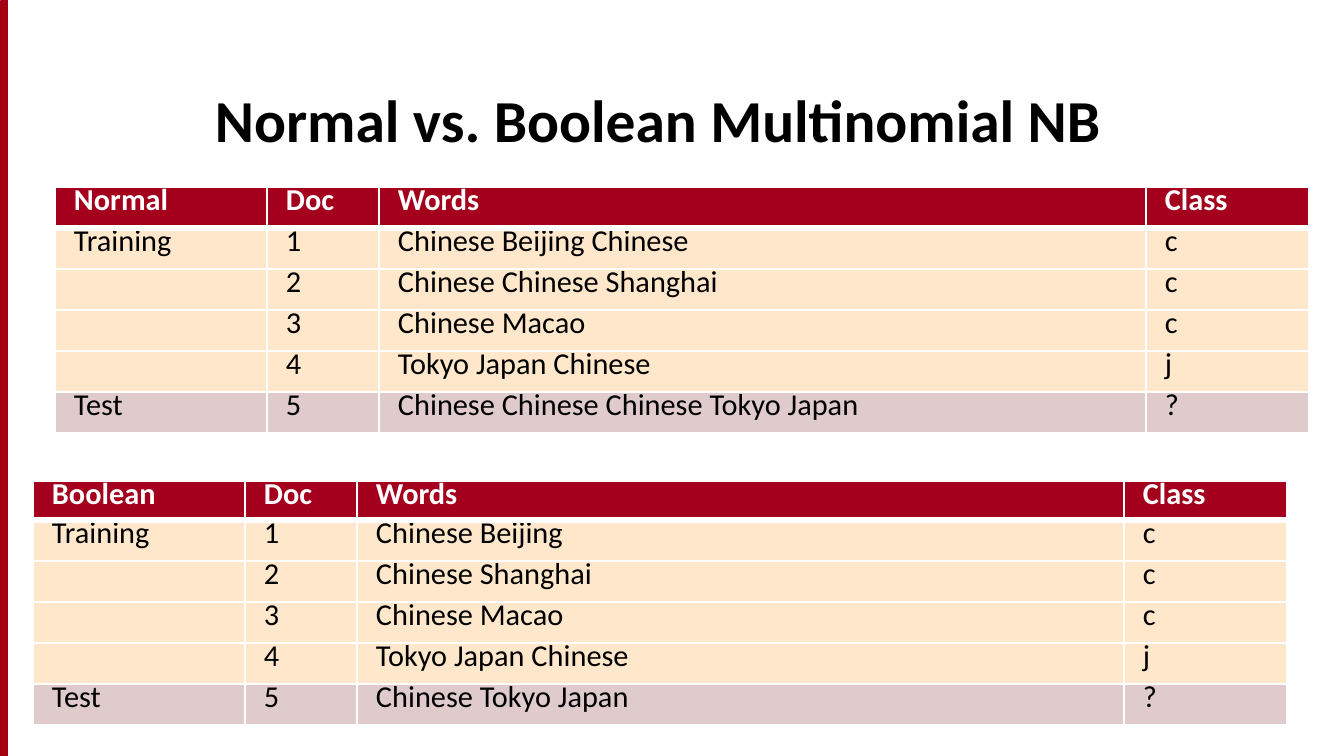
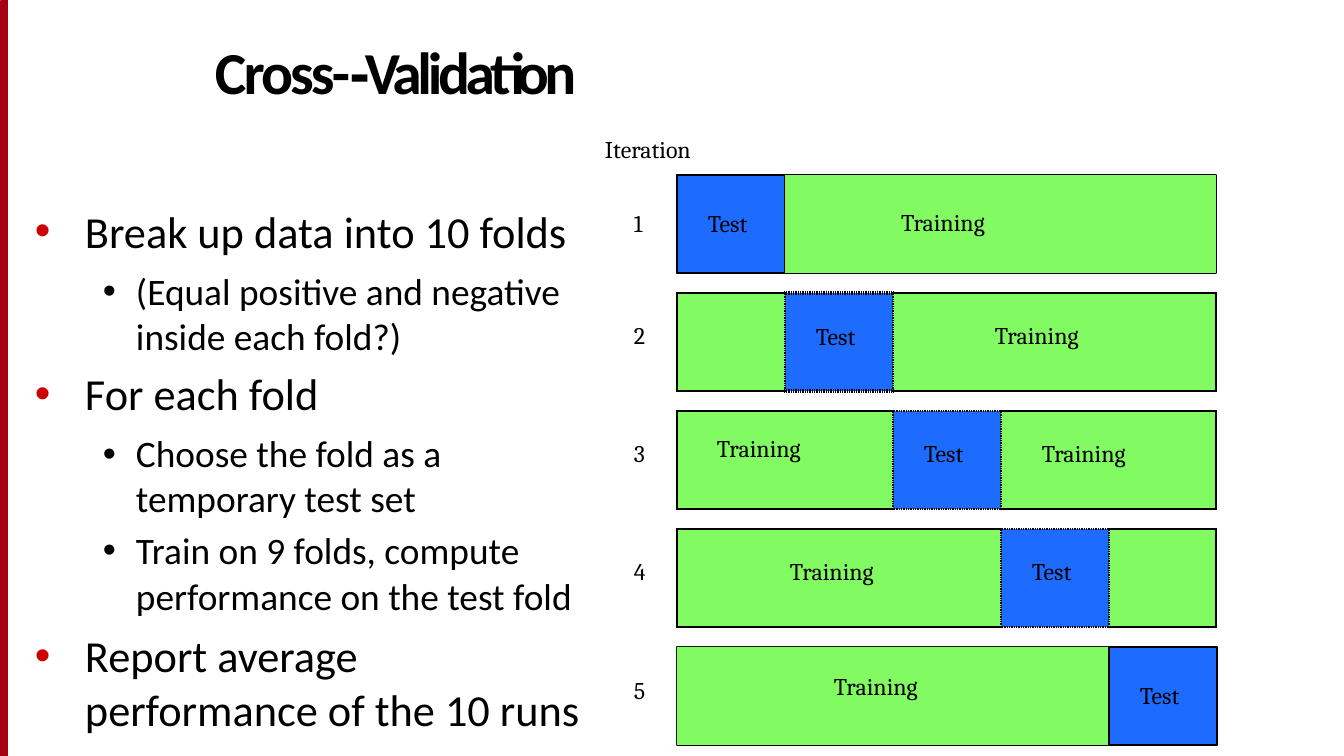
from lxml.etree import SubElement
from pptx import Presentation
from pptx.dml.color import RGBColor
from pptx.enum.shapes import MSO_SHAPE as Shape
from pptx.enum.text import MSO_ANCHOR as Anchor, MSO_AUTO_SIZE as AutoSize, PP_ALIGN as Align
from pptx.oxml.ns import qn
from pptx.util import Emu, Pt

PX_PER_INCH = 84
TITLE_ONLY, TITLE_AND_BODY = 5, 1

BLACK, WHITE = "000000", "FFFFFF"
CRIMSON, BAND_RED, BULLET_RED = "A4001D", "A40508", "CC0000"
CREAM, ROSE = "FFE7CC", "E0CBCC"
GREEN, BLUE = "82FA61", "1D6CFF"

# Document tables
COLUMNS = (212, 112, 767, 163)
ROW_HEIGHT = 41
CLASSES = ("c", "c", "c", "j", "?")
NORMAL_WORDS = (
    "Chinese Beijing Chinese", "Chinese Chinese Shanghai", "Chinese Macao",
    "Tokyo Japan Chinese", "Chinese Chinese Chinese Tokyo Japan")
BOOLEAN_WORDS = (
    "Chinese Beijing", "Chinese Shanghai", "Chinese Macao",
    "Tokyo Japan Chinese", "Chinese Tokyo Japan")

# Cross-validation list: (level, text, space before, line spacing)
STEPS = (
    (0, "Break up data into 10 folds", 10.9, 1.0),
    (1, "(Equal positive and negative inside each fold?)", 10, Pt(38)),
    (0, "For each fold", 7.4, 1.0),
    (1, "Choose the fold as a temporary test set", 10, Pt(38)),
    (1, "Train on 9 folds, compute performance on the test fold", 5.8, 1.02),
    (0, "Report average performance of the 10 runs", 8.2, 1.01),
)
# Per level: text size, left margin, hanging indent, bullet colour
LEVELS = ((38, 51, -50, BULLET_RED), (32, 102, -33, BLACK))

# Iterations: number drop, label before the test fold, test drop, label after it,
# table edge weight (None: drawn as rectangles). A label is (indent, drop).
ITERATIONS = (
    (32, None, 34, (116, 33), None),
    (26, None, 31, (102, 30), 3),
    (26, (40, 25), 30, (41, 30), 1.5),
    (26, (113, 30), 30, None, 2.25),
    (27, (157, 25), 34, None, None),
)
FOLD_WIDTH, FOLD_HEIGHT, FOLD_PITCH = 108, 98, 118
SET_WIDTH = 539
TEST_INDENT = 31


def px(length):
    return Emu(round(length * 914400 / PX_PER_INCH))


def color(hex_string):
    return RGBColor.from_string(hex_string)


def write(paragraph, text, size=20.5, font="Cambria", fill=BLACK, bold=False,
          spacing=0, before=0, line_spacing=None):
    """Append one formatted run and set the paragraph's spacing."""
    run = paragraph.add_run()
    run.text = text
    run.font.size, run.font.name, run.font.bold = Pt(size), font, bold
    run.font.color.rgb = color(fill)
    if spacing:
        run.font._element.set("spc", str(round(spacing * 100)))
    paragraph.alignment = Align.LEFT
    paragraph.space_before = Pt(before)
    if line_spacing:
        paragraph.line_spacing = line_spacing


def inset(target, left=0, top=0):
    """Set the margins of a cell or text frame and start its text at the top."""
    target.margin_left, target.margin_top = px(left), px(top)
    target.margin_right = target.margin_bottom = 0
    target.vertical_anchor = Anchor.TOP


def place(shape, box, left=0, top=0):
    """Move a text shape to a box and return its prepared text frame."""
    shape.left, shape.top, shape.width, shape.height = map(px, box)
    frame = shape.text_frame
    frame.word_wrap, frame.auto_size = True, AutoSize.NONE
    inset(frame, left, top)
    return frame


def add_label(slide, text, box):
    frame = place(slide.shapes.add_textbox(0, 0, 0, 0), box, left=1, top=2)
    write(frame.paragraphs[0], text)


def add_rectangle(slide, box, fill=None, line=None):
    shape = slide.shapes.add_shape(Shape.RECTANGLE, *map(px, box))
    shape.shadow.inherit = False
    if fill:
        shape.fill.solid()
        shape.fill.fore_color.rgb = color(fill)
    else:
        shape.fill.background()
    if line:
        shape.line.color.rgb, shape.line.width = color(line), Pt(1.14)
    else:
        shape.line.fill.background()
    return shape


def paint_cell(cell, fill, borders, line):
    """Fill a cell; borders are (width, dash) for left, right, top, bottom."""
    cell.fill.solid()
    cell.fill.fore_color.rgb = color(fill)
    properties = cell._tc.get_or_add_tcPr()
    for index, (side, (width, dash)) in enumerate(zip("LRTB", borders)):
        border = SubElement(properties, qn(f"a:ln{side}"), w=str(Pt(width)))
        solid = SubElement(border, qn("a:solidFill"))
        SubElement(solid, qn("a:srgbClr"), val=line)
        SubElement(border, qn("a:prstDash"), val=dash)
        properties.insert(index, border)


def add_grid(slide, left, top, widths, heights, header):
    frame = slide.shapes.add_table(len(heights), len(widths), px(left), px(top),
                                   px(sum(widths)), px(sum(heights)))
    table = frame.table
    table.first_row, table.horz_banding = header, False
    for column, width in zip(table.columns, widths):
        column.width = px(width)
    for row, height in zip(table.rows, heights):
        row.height = px(height)
    return table


def add_band(slide):
    """Draw the red band down the left edge."""
    add_rectangle(slide, (1, 1, 7, 755), BAND_RED)
    add_rectangle(slide, (7, 1, 1, 755), CRIMSON)
    builder = slide.shapes.build_freeform(px(1), px(756))
    builder.add_line_segments([(px(1), px(1)), (px(8), px(1))], close=False)
    edge = builder.convert_to_shape()
    edge.shadow.inherit = False
    edge.fill.background()
    edge.line.color.rgb, edge.line.width = color(CRIMSON), Pt(1)


def new_slide(presentation, layout, title_runs, box, left, top):
    """Add a slide with its band and title; runs are (text, letter spacing)."""
    slide = presentation.slides.add_slide(presentation.slide_layouts[layout])
    add_band(slide)
    frame = place(slide.shapes.title, box, left, top)
    for text, spacing in title_runs:
        write(frame.paragraphs[0], text, size=51, font="Calibri", bold=True,
              spacing=spacing, before=1)
    return slide


def add_document_table(slide, left, top, name, words, header_height):
    rows = [(name, "Doc", "Words", "Class")]
    for number, (text, label) in enumerate(zip(words, CLASSES), 1):
        group = {1: "Training", 5: "Test"}.get(number, "")
        rows.append((group, str(number), text, label))
    heights = [header_height] + [ROW_HEIGHT] * len(words)
    table = add_grid(slide, left, top, COLUMNS, heights, header=True)
    thin, thick = (2.25, "solid"), (6, "solid")
    for row_index, row in enumerate(rows):
        header = row_index == 0
        fill = CRIMSON if header else ROSE if row_index == len(words) else CREAM
        borders = (thin, thin, thick if row_index == 1 else thin,
                   thick if header else thin)
        for column_index, text in enumerate(row):
            cell = table.cell(row_index, column_index)
            paint_cell(cell, fill, borders, WHITE)
            inset(cell, left=19)
            if text:
                write(cell.text_frame.paragraphs[0], text, size=26, font="Calibri",
                      fill=WHITE if header else BLACK, bold=header,
                      line_spacing=Pt(26.9))


def add_steps(slide, box):
    """Fill the body placeholder with the two-level bulleted list."""
    frame = place(slide.placeholders[1], box, top=13)
    for index, (level, text, before, line_spacing) in enumerate(STEPS):
        paragraph = frame.add_paragraph() if index else frame.paragraphs[0]
        size, margin, indent, bullet = LEVELS[level]
        paragraph.level = level
        write(paragraph, text, size=size, font="Calibri", before=before,
              line_spacing=line_spacing)
        properties = paragraph._p.get_or_add_pPr()
        properties.set("marL", str(px(margin)))
        properties.set("indent", str(px(indent)))
        bullet_color = SubElement(properties, qn("a:buClr"))
        SubElement(bullet_color, qn("a:srgbClr"), val=bullet)
        SubElement(properties, qn("a:buFont"), typeface="Arial")
        SubElement(properties, qn("a:buChar"), char="•")


def add_fold_rectangles(slide, left, top, segments):
    add_rectangle(slide, (left, top, SET_WIDTH, FOLD_HEIGHT), line=BLACK)
    x = left
    for name, width, label in segments:
        is_test = name == "Test"
        box = (x, top, width, FOLD_HEIGHT)
        shape = add_rectangle(slide, box, BLUE if is_test else GREEN,
                              BLACK if is_test else None)
        frame = place(shape, box, *label)
        write(frame.paragraphs[0], name)
        x += width


def add_fold_table(slide, left, top, segments, edge):
    widths = [width for _, width, _ in segments]
    table = add_grid(slide, left, top, widths, [FOLD_HEIGHT], header=False)
    solid, dotted = (1.5, "solid"), (1.5, "sysDot")
    test_borders = (dotted, dotted, (edge, "sysDot"), (edge, "sysDot"))
    for index, (name, _, label) in enumerate(segments):
        cell = table.cell(0, index)
        if name == "Test":
            paint_cell(cell, BLUE, test_borders, BLACK)
        else:
            sides = (solid, dotted) if index == 0 else (dotted, solid)
            paint_cell(cell, GREEN, (*sides, solid, solid), BLACK)
        inset(cell, *(label or ()))
        if label:
            write(cell.text_frame.paragraphs[0], name)


def add_fold_diagram(slide, left, top):
    """Draw five iterations, the test fold moving one place right each time."""
    add_label(slide, "Iteration", (left - 73, top - 42, 96, 31))
    for index, (number_drop, before, test_drop, after, edge) in enumerate(ITERATIONS):
        row_top = top + index * FOLD_PITCH
        start = index * FOLD_WIDTH
        segments = [
            ("Training", start, before),
            ("Test", FOLD_WIDTH, (TEST_INDENT, test_drop)),
            ("Training", SET_WIDTH - start - FOLD_WIDTH, after),
        ]
        segments = [segment for segment in segments if segment[1] > 0]
        if edge:
            add_fold_table(slide, left, row_top, segments, edge)
        else:
            add_fold_rectangles(slide, left, row_top, segments)
        add_label(slide, str(index + 1), (left - 44, row_top + number_drop, 16, 31))


def build_comparison(presentation):
    slide = new_slide(presentation, TITLE_ONLY,
                      [("Normal vs. Boolean Multinomial NB", 0)],
                      (192, 0, 1106, 155), left=23, top=83)
    add_document_table(slide, 55, 187, "Normal", NORMAL_WORDS, ROW_HEIGHT)
    add_document_table(slide, 33, 481, "Boolean", BOOLEAN_WORDS, 39)


def build_cross_validation(presentation):
    slide = new_slide(presentation, TITLE_AND_BODY,
                      [("Cross-", -2.5), ("‐Validation", -3.7)],
                      (214, 34, 407, 74), left=1, top=1)
    add_steps(slide, (34, 191, 552, 544))
    add_fold_diagram(slide, 677, 175)


def main():
    presentation = Presentation()
    presentation.slide_width, presentation.slide_height = px(1344), px(756)
    build_comparison(presentation)
    build_cross_validation(presentation)
    presentation.save("out.pptx")


if __name__ == "__main__":
    main()
